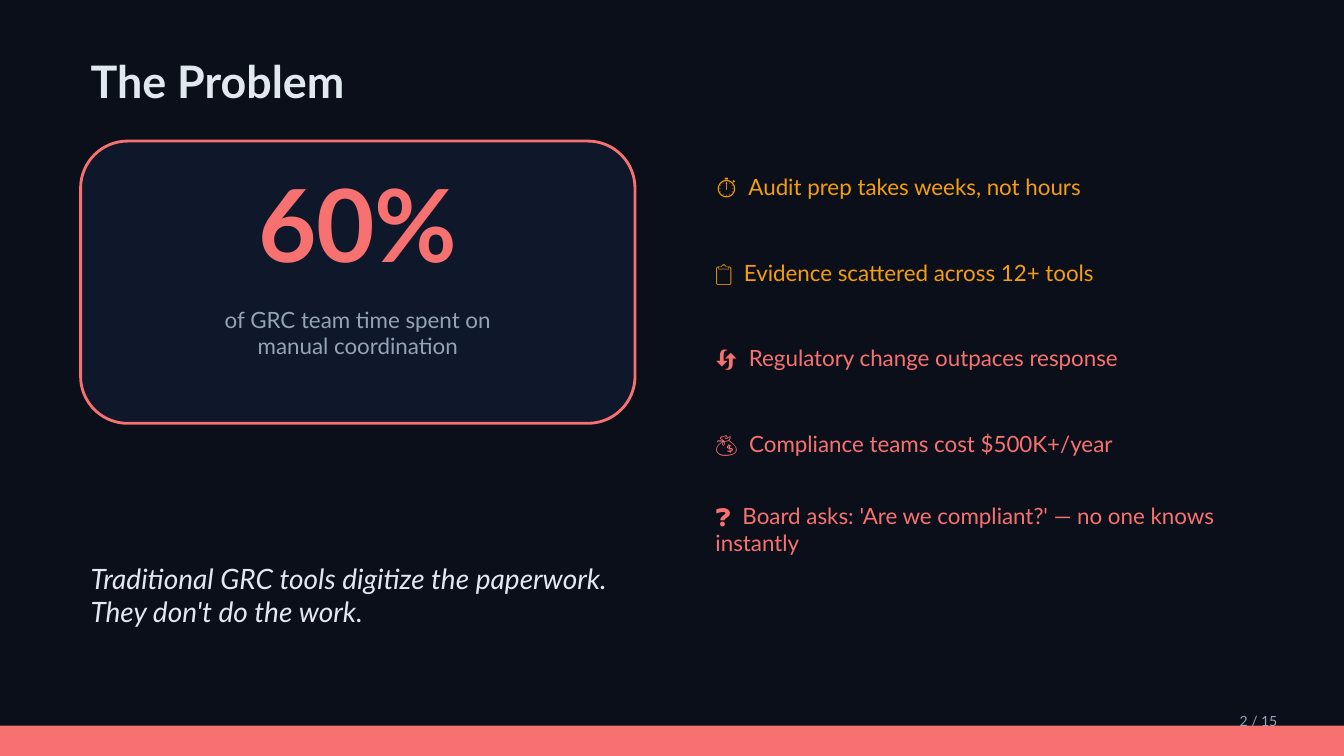
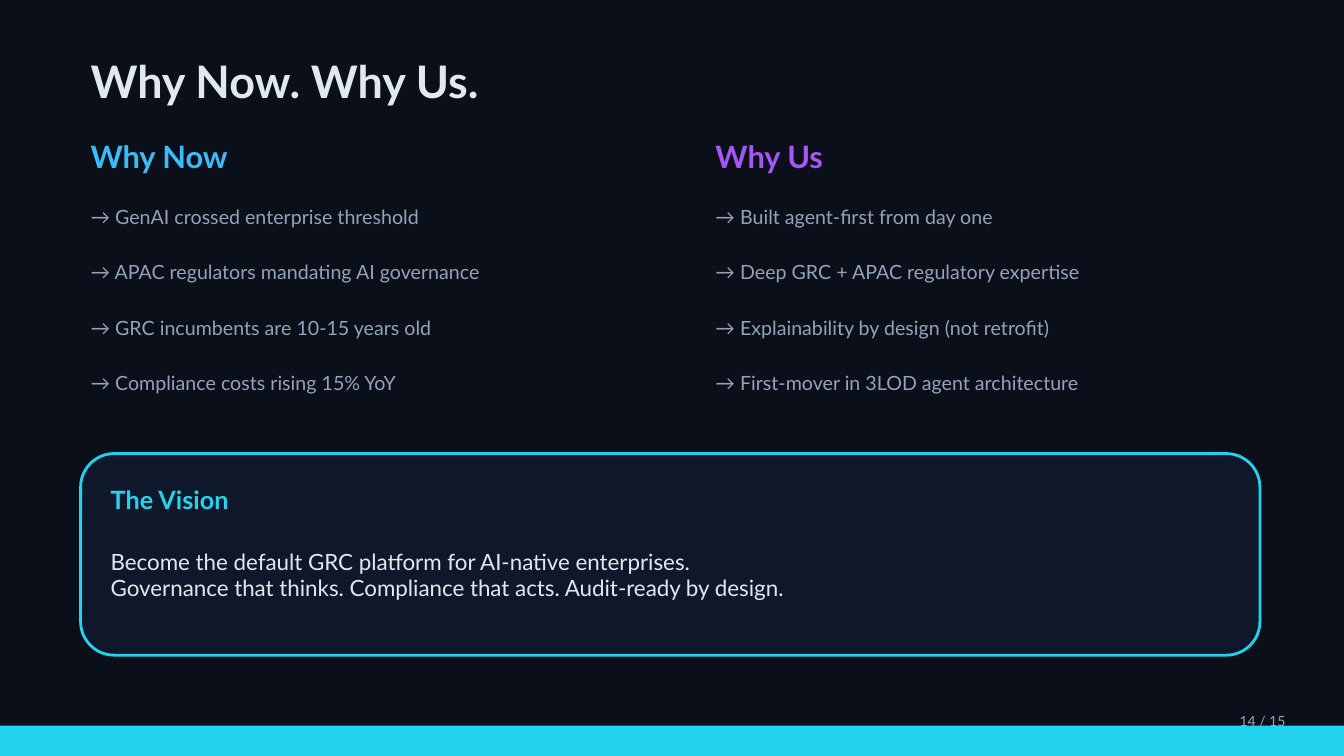
import dataclasses

import pptx
import pptx.dml.color
import pptx.enum.shapes
import pptx.enum.text
import pptx.util

Pt = pptx.util.Pt
RGB = pptx.dml.color.RGBColor.from_string
SHAPE = pptx.enum.shapes.MSO_SHAPE
ALIGN = pptx.enum.text.PP_ALIGN


@dataclasses.dataclass(frozen=True)
class Theme:
    font: str = "Lato"
    # Colours
    background: str = "0B0F1A"
    card: str = "0F172A"
    text: str = "E2E8F0"
    muted: str = "94A3B8"
    red: str = "F87171"
    amber: str = "F59E0B"
    cyan: str = "22D3EE"
    blue: str = "38BDF8"
    purple: str = "A855F7"
    # Type sizes
    statistic: int = 72
    title: int = 32
    heading: int = 22
    quote: int = 20
    card_heading: int = 18
    body: int = 16
    list_item: int = 14
    page_number: int = 10


theme = Theme()

# Shared grid, in points
page_width, page_height = 960, 540
left_column, right_column, column_width = 57.6, 504, 396
full_width = right_column + column_width - left_column
band_height = 21.6


def add_panel(page, kind, left, top, width, height, fill, line=None):
    panel = page.shapes.add_shape(kind, Pt(left), Pt(top), Pt(width), Pt(height))
    panel.shadow.inherit = False
    panel.fill.solid()
    panel.fill.fore_color.rgb = RGB(fill)
    if line:
        panel.line.color.rgb = RGB(line)
        panel.line.width = Pt(2)
    else:
        panel.line.fill.background()


def add_text(page, text, left, top, width, height, size, color,
             bold=False, italic=False, align=ALIGN.LEFT):
    box = page.shapes.add_textbox(Pt(left), Pt(top), Pt(width), Pt(height))
    frame = box.text_frame
    frame.word_wrap = True
    frame.vertical_anchor = pptx.enum.text.MSO_ANCHOR.MIDDLE
    frame.text = text
    for para in frame.paragraphs:
        para.alignment = align
        for span in para.runs:
            span.font.name = theme.font
            span.font.size = Pt(size)
            span.font.color.rgb = RGB(color)
            span.font.bold = bold
            span.font.italic = italic


deck = pptx.Presentation()
deck.slide_width, deck.slide_height = Pt(page_width), Pt(page_height)

# Background, title, bottom band and page number of every page
pages = []
for title, accent, number in [
    ("The Problem", theme.red, 2),
    ("Why Now. Why Us.", theme.cyan, 14),
]:
    page = deck.slides.add_slide(deck.slide_layouts[6])
    page.background.fill.solid()
    page.background.fill.fore_color.rgb = RGB(theme.background)
    add_text(page, title, left_column, 36, 864, 43.2, theme.title, theme.text, bold=True)
    add_panel(page, SHAPE.RECTANGLE, 0, page_height - band_height,
              page_width, band_height, accent)
    add_text(page, f"{number} / 15", 878.4, 504, 72, 21.6, theme.page_number, theme.muted)
    pages.append(page)
problem_page, why_page = pages

# The Problem: statistic card
add_panel(problem_page, SHAPE.ROUNDED_RECTANGLE, left_column, 100.8,
          column_width, 201.6, theme.card, theme.red)
add_text(problem_page, "60%", left_column, 115.2, column_width, 86.4,
         theme.statistic, theme.red, bold=True, align=ALIGN.CENTER)
add_text(problem_page, "of GRC team time spent on\nmanual coordination",
         left_column, 208.8, column_width, 57.6,
         theme.body, theme.muted, align=ALIGN.CENTER)

# The Problem: pain points
pain_points = [
    ("⏱  Audit prep takes weeks, not hours", theme.amber),
    ("📋  Evidence scattered across 12+ tools", theme.amber),
    ("🔄  Regulatory change outpaces response", theme.red),
    ("💰  Compliance teams cost $500K+/year", theme.red),
    ("❓  Board asks: 'Are we compliant?' — no one knows instantly", theme.red),
]
for row, (point, color) in enumerate(pain_points):
    add_text(problem_page, point, right_column, 108 + row * 61.2,
             column_width, 50.4, theme.body, color)

# The Problem: closing line
add_text(problem_page,
         "Traditional GRC tools digitize the paperwork.\nThey don't do the work.",
         left_column, 396, 864, 57.6, theme.quote, theme.text, italic=True)

# Why Now. Why Us.: two columns of reasons
reason_columns = [
    (left_column, "Why Now", theme.blue, [
        "GenAI crossed enterprise threshold",
        "APAC regulators mandating AI governance",
        "GRC incumbents are 10-15 years old",
        "Compliance costs rising 15% YoY",
    ]),
    (right_column, "Why Us", theme.purple, [
        "Built agent-first from day one",
        "Deep GRC + APAC regulatory expertise",
        "Explainability by design (not retrofit)",
        "First-mover in 3LOD agent architecture",
    ]),
]
for left, heading, color, reasons in reason_columns:
    add_text(why_page, heading, left, 93.6, column_width, 36,
             theme.heading, color, bold=True)
    for row, reason in enumerate(reasons):
        add_text(why_page, f"→ {reason}", left, 136.8 + row * 39.6,
                 column_width, 36, theme.list_item, theme.muted)

# Why Now. Why Us.: vision card
card_inset = 14.4
vision_left, vision_width = left_column + card_inset, full_width - 2 * card_inset
add_panel(why_page, SHAPE.ROUNDED_RECTANGLE, left_column, 324,
          full_width, 144, theme.card, theme.cyan)
add_text(why_page, "The Vision", vision_left, 338.4, vision_width, 36,
         theme.card_heading, theme.cyan, bold=True)
add_text(why_page,
         "Become the default GRC platform for AI-native enterprises.\n"
         "Governance that thinks. Compliance that acts. Audit-ready by design.",
         vision_left, 374.4, vision_width, 72, theme.body, theme.text)

deck.save("out.pptx")
